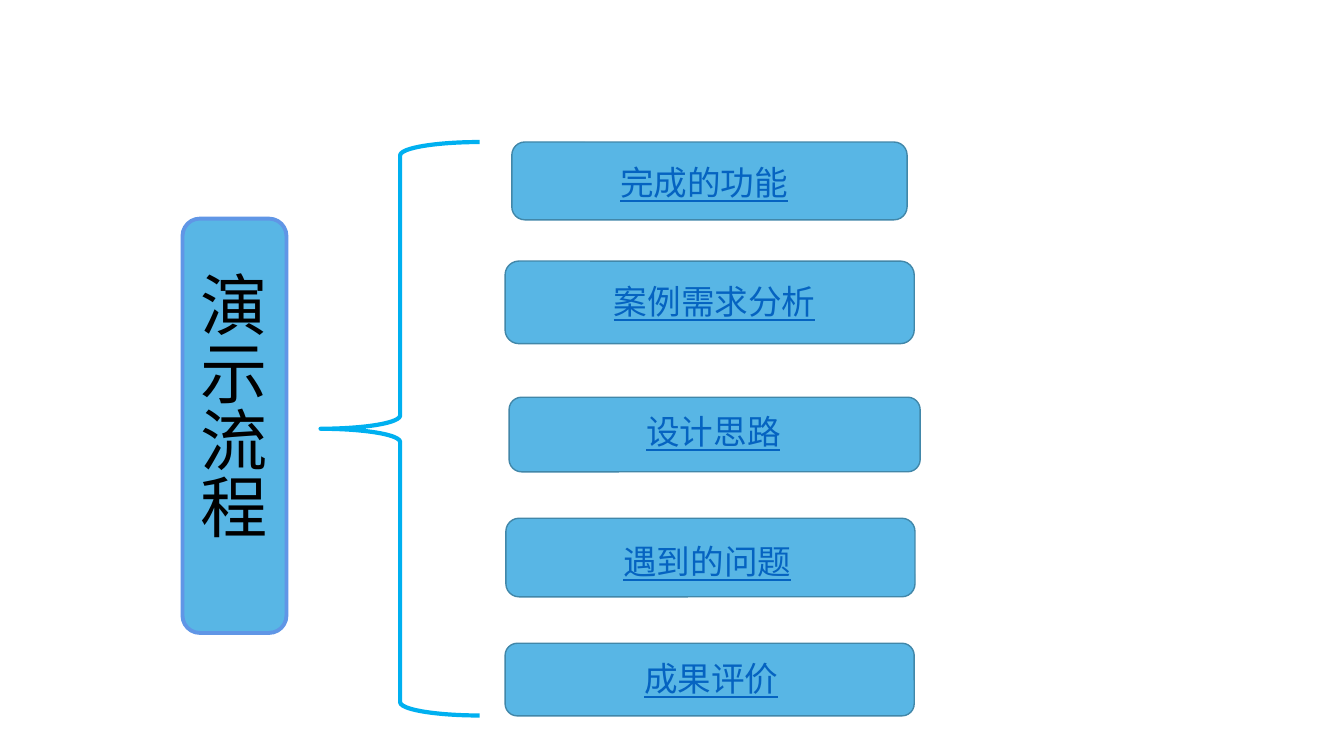
from lxml import etree
from pptx import Presentation
from pptx.dml.color import RGBColor
from pptx.enum import shapes, text
from pptx.oxml.ns import qn
from pptx.util import Cm, Pt

SKY = RGBColor(0x58, 0xB6, 0xE5)
HEADING_EDGE = RGBColor(0x60, 0x96, 0xE6)
STEP_EDGE = RGBColor(0x41, 0x87, 0xA9)
BRACE_BLUE = RGBColor(0x00, 0xB0, 0xF0)
LINK_BLUE = RGBColor(0x05, 0x63, 0xC1)
BLACK = RGBColor(0, 0, 0)

# wording, panel and label as (left, top, width, height) in cm
STEPS = [
    ("完成的功能", (12.9, 3.58, 9.96, 1.96), (13.67, 3.96, 8.15, 1.27)),
    ("案例需求分析", (12.73, 6.58, 10.31, 2.08), (12.83, 6.96, 10.36, 1.27)),
    ("设计思路", (12.83, 10.01, 10.36, 1.88), (12.8, 10.24, 10.36, 1.27)),
    ("遇到的问题", (12.75, 13.06, 10.31, 1.98), (12.62, 13.51, 10.41, 2.31)),
    ("成果评价", (12.73, 16.21, 10.31, 1.83), (12.78, 16.46, 10.29, 1.27)),
]


class FlowSlide:
    font = "Noto Sans CJK SC"

    def __init__(self, deck):
        self.slide = deck.slides.add_slide(deck.slide_layouts[6])

    def outline(self, preset, place, edge, weight):
        shape = self.slide.shapes.add_shape(preset, *map(Cm, place))
        shape.shadow.inherit = False
        shape.fill.background()
        shape.line.color.rgb = edge
        shape.line.width = Pt(weight)
        return shape

    def panel(self, place, edge, weight):
        rounded = shapes.MSO_SHAPE.ROUNDED_RECTANGLE
        shape = self.outline(rounded, place, edge, weight)
        shape.fill.solid()
        shape.fill.fore_color.rgb = SKY

    def brace(self, place):
        self.outline(shapes.MSO_SHAPE.LEFT_BRACE, place, BRACE_BLUE, 3)

    def label(self, wording, place, size, color):
        box = self.slide.shapes.add_textbox(*map(Cm, place))
        frame = box.text_frame
        frame.word_wrap = True
        frame.auto_size = text.MSO_AUTO_SIZE.SHAPE_TO_FIT_TEXT
        run = frame.paragraphs[0].add_run()
        run.text = wording
        run.font.size = Pt(size)
        run.font.color.rgb = color
        run.font.name = self.font
        east_asian = etree.SubElement(run._r.get_or_add_rPr(), qn("a:ea"))
        east_asian.set("typeface", self.font)
        return box

    def vertical_heading(self, wording, place):
        box = self.label(wording, place, 48, BLACK)
        box.element.txBody.find(qn("a:bodyPr")).set("vert", "eaVert")

    def step(self, wording, panel_place, label_place):
        self.panel(panel_place, STEP_EDGE, 1)
        box = self.label(wording, label_place, 24, LINK_BLUE)
        line = box.text_frame.paragraphs[0]
        line.alignment = text.PP_ALIGN.CENTER
        line.runs[0].font.underline = True


def main():
    deck = Presentation()
    deck.slide_width, deck.slide_height = Cm(33.87), Cm(19.05)
    flow = FlowSlide(deck)
    flow.panel((4.6, 5.51, 2.62, 10.44), HEADING_EDGE, 2.75)
    flow.vertical_heading("演示流程", (4.42, 6.6, 2.57, 8.81))
    flow.brace((8.08, 3.58, 4.01, 14.45))
    for step in STEPS:
        flow.step(*step)
    deck.save("out.pptx")


if __name__ == "__main__":
    main()
